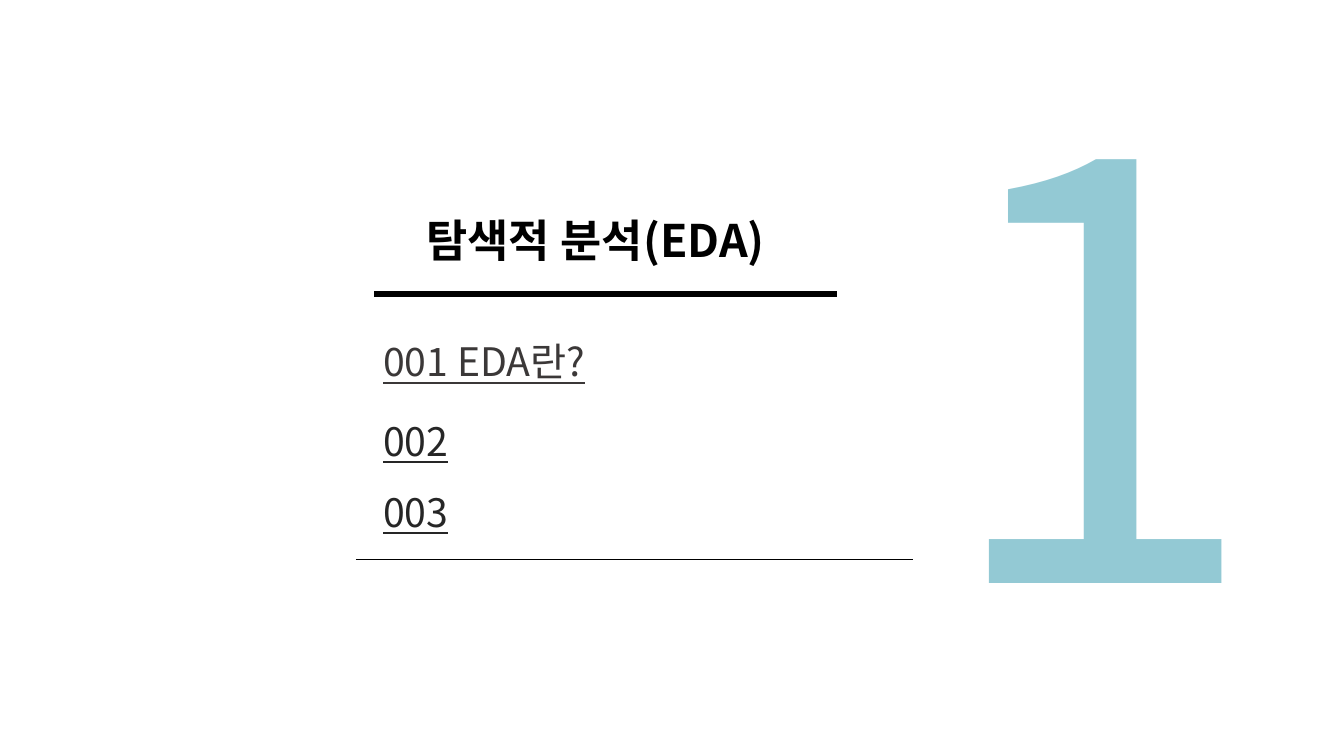
from lxml import etree
from pptx import Presentation
from pptx.dml.color import RGBColor
from pptx.enum.text import MSO_ANCHOR, PP_ALIGN
from pptx.oxml.ns import qn
from pptx.util import Inches, Pt


def rgb(value):
    return RGBColor.from_string(value)


class SectionSlide:
    font = "Noto Sans CJK KR"
    black, gray, dark, teal = "000000", "3B3838", "262626", "93C9D4"

    def __init__(self, prs):
        self.s = prs.slides.add_slide(prs.slide_layouts[1])

    def frame(self, sp, x, y, w, h):
        sp.left, sp.top, sp.width, sp.height = map(Inches, (x, y, w, h))
        tf = sp.text_frame
        tf.word_wrap = True
        tf.vertical_anchor = MSO_ANCHOR.TOP
        return tf

    def add_text(self, p, text, size, color, **style):
        pPr = p._p.get_or_add_pPr()
        pPr.set("marL", "0")
        pPr.set("indent", "0")
        etree.SubElement(pPr, qn("a:buNone"))
        p.alignment = PP_ALIGN.LEFT
        p.line_spacing = 1.0
        p.space_before = Pt(style.pop("before", 0))
        r = p.add_run()
        r.text = text
        style.update(name=self.font, size=Pt(size))
        for key, value in style.items():
            setattr(r.font, key, value)
        r.font.color.rgb = rgb(color)
        ea = etree.SubElement(r._r.get_or_add_rPr(), qn("a:ea"))
        ea.set("typeface", self.font)

    def title(self, text, box):
        tf = self.frame(self.s.shapes.title, *box)
        self.add_text(tf.paragraphs[0], text, 32, self.black, bold=True)

    def topics(self, items, box):
        tf = self.frame(self.s.placeholders[1], *box)
        for i, (text, color, before) in enumerate(items):
            p = tf.add_paragraph() if i else tf.paragraphs[0]
            self.add_text(p, text, 28, color, underline=True, before=before)

    def number(self, text, box):
        tf = self.frame(self.s.shapes.add_textbox(0, 0, 0, 0), *box)
        self.add_text(tf.paragraphs[0], text, 413, self.teal)

    def rule(self, x1, x2, y, width):
        line = self.s.shapes.add_connector(
            1, Inches(x1), Inches(y), Inches(x2), Inches(y))
        line.line.color.rgb = rgb(self.black)
        line.line.width = Pt(width)
        etree.SubElement(line._element.spPr, qn("a:effectLst"))


def main():
    prs = Presentation()
    prs.slide_width, prs.slide_height = Inches(13.33), Inches(7.5)
    slide = SectionSlide(prs)

    # Section number
    slide.number("1", (9.21, 0, 3.82, 7.05))

    # Heading between the rules
    slide.rule(3.71, 8.3, 2.92, 4.25)
    slide.rule(3.53, 9.06, 5.55, 0.25)
    slide.title("탐색적 분석(EDA)", (4.13, 2.06, 3.81, 0.64))

    # Topic list: text, colour, space before
    slide.topics([("001 EDA란?", slide.gray, 0),
                  ("002", slide.dark, 23),
                  ("003", slide.dark, 17)], (3.7, 3.3, 4.6, 2.25))

    prs.save("out.pptx")


if __name__ == "__main__":
    main()
